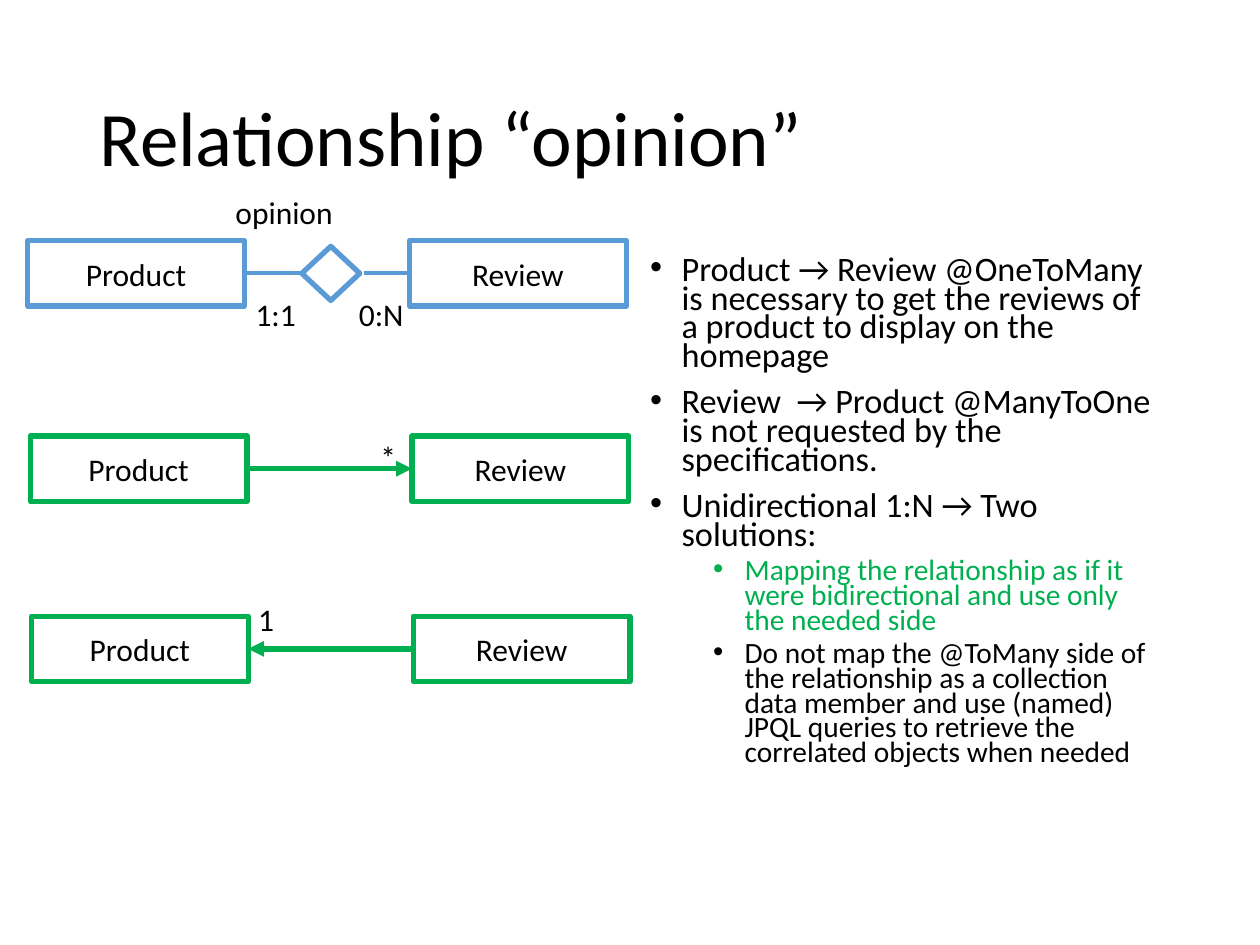
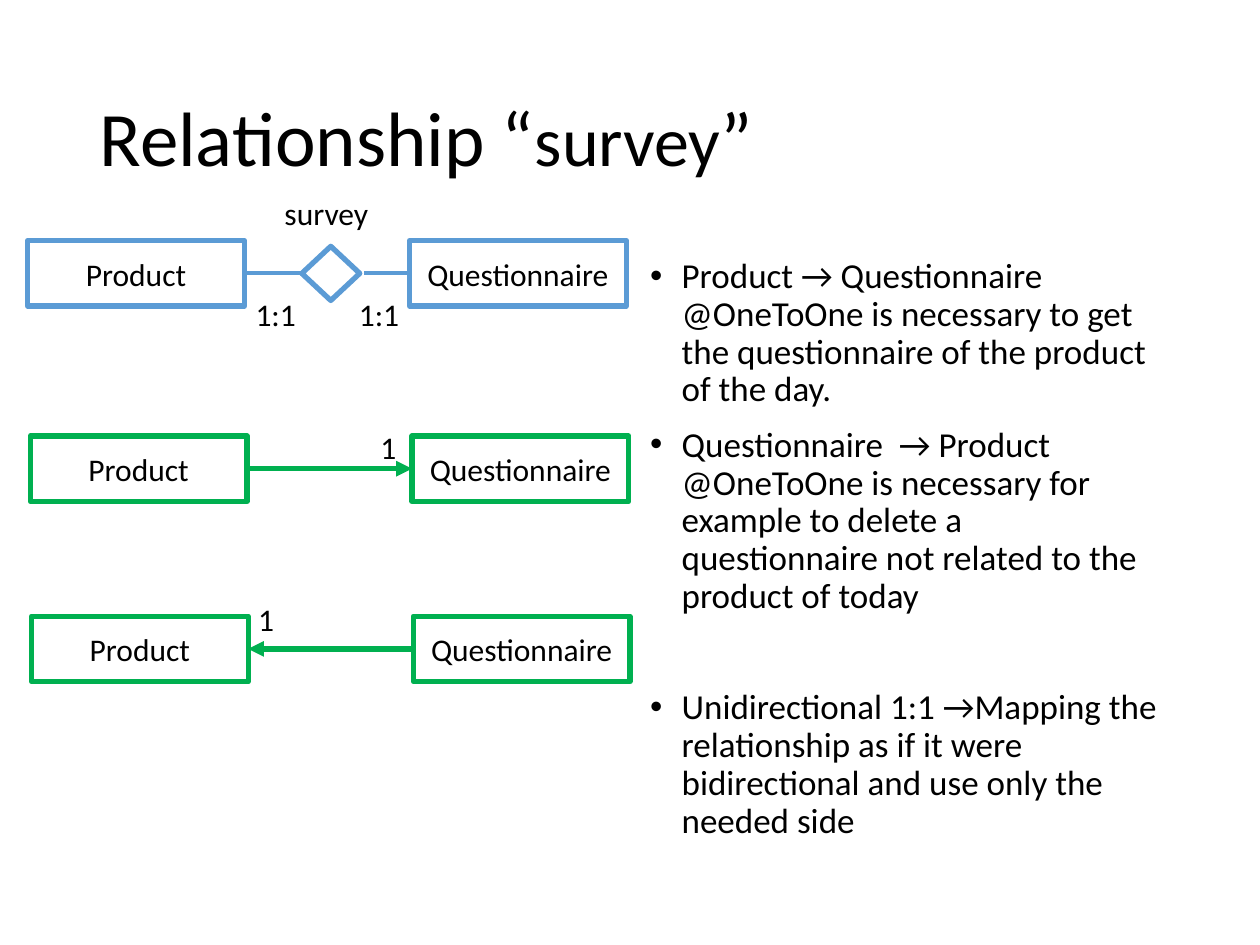
from dataclasses import dataclass

from lxml import etree
from pptx import Presentation
from pptx import util as u
from pptx.dml.color import RGBColor
from pptx.enum import shapes, text
from pptx.oxml import ns


@dataclass(frozen=True)
class Theme:
    font: str = "Calibri"
    bullet_font: str = "Arial"
    ink: str = "000000"
    paper: str = "FFFFFF"
    entity_blue: str = "5B9BD5"
    mapping_green: str = "00B050"
    title_size: float = 44
    label_size: float = 18
    border: float = 3
    thin: float = 2.25


@dataclass(frozen=True)
class Box:
    left: float
    top: float
    width: float
    height: float

    def inner(self, dx, dy, width, height):
        return Box(self.left + dx, self.top + dy, width, height)

    @property
    def middle(self):
        return self.top + self.height / 2


THEME = Theme()
COLUMNS, ROWS = 100, 75
ENTITY_WIDTH = 17.2
LABEL_HEIGHT = 4
TITLE_BOX = Box(6.9, 4, 86.2, 14.5)
NOTES_BOX = Box(50.6, 20, 42.5, 47.6)
ER_BOX = Box(2.2, 19.1, 47.5, 5.2)
FORWARD_BOX = Box(2.4, 34.6, 47.5, 5.2)
BACKWARD_BOX = Box(2.5, 48.9, 47.5, 5.2)

deck = Presentation()
deck.slide_width, deck.slide_height = u.Inches(10), u.Inches(7.5)


def across(columns):
    return round(deck.slide_width * columns / COLUMNS)


def down(rows):
    return round(deck.slide_height * rows / ROWS)


def place(box):
    return across(box.left), down(box.top), across(box.width), down(box.height)


def apply(target, formats):
    for name, value in formats.items():
        setattr(target, name, value)


def move(placeholder, box):
    apply(placeholder, dict(zip(("left", "top", "width", "height"), place(box))))


def write(paragraph, words, size, color=THEME.ink):
    run = paragraph.add_run()
    run.text = words
    apply(run.font, {"name": THEME.font, "size": u.Pt(size)})
    run.font.color.rgb = RGBColor.from_string(color)


def stroke(line, color, width):
    line.fill.solid()
    line.fill.fore_color.rgb = RGBColor.from_string(color)
    line.width = u.Pt(width)


def outlined(slide, kind, box, color, filled):
    figure = slide.shapes.add_shape(kind, *place(box))
    figure.shadow.inherit = False
    if filled:
        figure.fill.solid()
        figure.fill.fore_color.rgb = RGBColor.from_string(THEME.paper)
    else:
        figure.fill.background()
    stroke(figure.line, color, THEME.border)
    return figure


def entity(slide, box, name, color, filled):
    frame = outlined(slide, shapes.MSO_SHAPE.RECTANGLE, box, color, filled).text_frame
    apply(frame, {"vertical_anchor": text.MSO_ANCHOR.MIDDLE, "word_wrap": True})
    frame.paragraphs[0].alignment = text.PP_ALIGN.CENTER
    write(frame.paragraphs[0], name, THEME.label_size)


def entity_pair(slide, box, names, color, filled=False):
    for name, dx in zip(names, (0, box.width - ENTITY_WIDTH)):
        entity(slide, box.inner(dx, 0, ENTITY_WIDTH, box.height), name, color, filled)


def link(slide, box, start, end, color, width, arrow=None):
    y = down(box.middle)
    line = slide.shapes.add_connector(
        shapes.MSO_CONNECTOR.STRAIGHT,
        across(box.left + start), y, across(box.left + end), y)
    stroke(line.line, color, width)
    properties = line._element.spPr
    if arrow:
        outline = properties.find(ns.qn("a:ln"))
        etree.SubElement(outline, ns.qn(arrow), type="triangle")
    etree.SubElement(properties, ns.qn("a:effectLst"))


def label(slide, box, words, dx, dy, width):
    frame = slide.shapes.add_textbox(
        *place(box.inner(dx, dy, width, LABEL_HEIGHT))).text_frame
    apply(frame, {"word_wrap": False, "auto_size": text.MSO_AUTO_SIZE.SHAPE_TO_FIT_TEXT})
    write(frame.paragraphs[0], words, THEME.label_size)


def er_row(slide, box, names, labels):
    blue = THEME.entity_blue
    entity_pair(slide, box, names, blue, filled=True)
    outlined(slide, shapes.MSO_SHAPE.DIAMOND, box.inner(21.9, 0.3, 4.3, 4.6),
             blue, filled=True).rotation = 90
    for start, end in ((box.width - ENTITY_WIDTH, 26.7), (21.8, ENTITY_WIDTH)):
        link(slide, box, start, end, blue, THEME.thin)
    for entry in labels:
        label(slide, box, *entry)


def mapping_row(slide, box, names, arrow, cardinality):
    green = THEME.mapping_green
    entity_pair(slide, box, names, green)
    link(slide, box, box.width - ENTITY_WIDTH, ENTITY_WIDTH, green, THEME.border, arrow)
    label(slide, box, *cardinality, 3.3)


def heading(slide, box, pieces):
    title = slide.shapes.title
    move(title, box)
    apply(title.text_frame, {"vertical_anchor": text.MSO_ANCHOR.MIDDLE,
                             "auto_size": text.MSO_AUTO_SIZE.NONE})
    line = title.text_frame.paragraphs[0]
    apply(line, {"alignment": text.PP_ALIGN.LEFT, "line_spacing": 0.9})
    for words, size in pieces:
        write(line, words, size)


def notes(slide, box, points, spacing):
    body = slide.placeholders[1]
    move(body, box)
    frame = body.text_frame
    frame.auto_size = text.MSO_AUTO_SIZE.NONE
    for index, (words, level, size, color, before) in enumerate(points):
        point = frame.add_paragraph() if index else frame.paragraphs[0]
        apply(point, {"level": level, "line_spacing": spacing,
                      "space_before": u.Pt(before), "space_after": u.Pt(0)})
        properties = point._p.get_or_add_pPr()
        properties.set("marL", str(u.Inches(0.25 + 0.5 * level)))
        properties.set("indent", str(u.Inches(-0.25)))
        etree.SubElement(properties, ns.qn("a:buFont"), typeface=THEME.bullet_font)
        etree.SubElement(properties, ns.qn("a:buChar"), char="•")
        write(point, words, size, color)


def relationship_slide(content):
    slide = deck.slides.add_slide(deck.slide_layouts[1])
    names = ("Product", content["partner"])
    heading(slide, TITLE_BOX, content["title"])
    notes(slide, NOTES_BOX, content["points"], content["spacing"])
    er_row(slide, ER_BOX, names, content["er_labels"])
    mapping_row(slide, FORWARD_BOX, names, "a:headEnd", content["forward"])
    mapping_row(slide, BACKWARD_BOX, names, "a:tailEnd", ("1", 17, -1.8))


def main_point(words, size, before=10):
    return words, 0, size, THEME.ink, before


def sub_point(words, color):
    return words, 1, 16.8, color, 5


opinion = {
    "title": [("Relationship “opinion”", THEME.title_size)],
    "partner": "Review",
    "er_labels": [("1:1", 17.1, 3.8, 5.3), ("0:N", 25.3, 3.8, 5.6),
                  ("opinion", 15.5, -4.3, 9.8)],
    "forward": ("*", 26.8, -0.3),
    "spacing": 0.7,
    "points": [
        main_point("Product → Review @OneToMany is necessary to get the reviews "
                   "of a product to display on the homepage", 19.6),
        main_point("Review  → Product @ManyToOne is not requested by the "
                   "specifications.", 19.6),
        main_point("Unidirectional 1:N → Two solutions:", 19.6),
        sub_point("Mapping the relationship as if it were bidirectional and use "
                  "only the needed side", THEME.mapping_green),
        sub_point("Do not map the @ToMany side of the relationship as a collection "
                  "data member and use (named) JPQL queries to retrieve the "
                  "correlated objects when needed", THEME.ink),
    ],
}

survey = {
    "title": [("Relationship “", THEME.title_size), ("survey", 40),
              ("”", THEME.title_size)],
    "partner": "Questionnaire",
    "er_labels": [("1:1", 17.1, 3.8, 5.3), ("1:1", 25.3, 3.8, 5.3),
                  ("survey", 19.4, -4.2, 8.7)],
    "forward": ("1", 26.8, -1.1),
    "spacing": 0.9,
    "points": [
        main_point("Product → Questionnaire @OneToOne is necessary to get the "
                   "questionnaire of the product of the day.", 20),
        main_point("Questionnaire  → Product @OneToOne is necessary for example to "
                   "delete a questionnaire not related to the product of today", 20),
        main_point("Unidirectional 1:1 →Mapping the relationship as if it were "
                   "bidirectional and use only the needed side", 20, before=42),
    ],
}

for relationship in (opinion, survey):
    relationship_slide(relationship)

deck.save("out.pptx")
